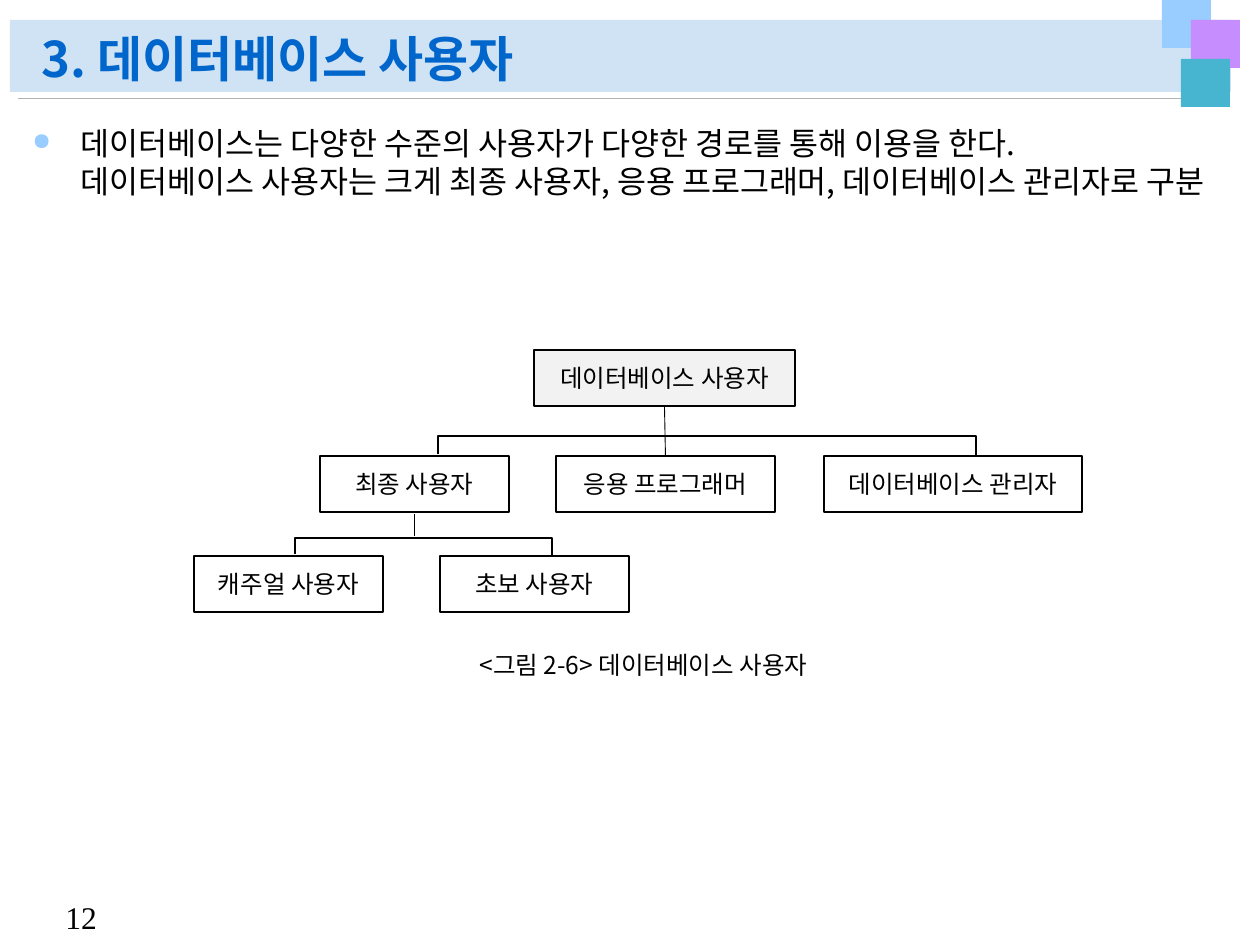
from lxml.etree import SubElement
from pptx import Presentation
from pptx.dml.color import RGBColor
from pptx.enum.shapes import MSO_CONNECTOR, MSO_SHAPE
from pptx.enum.text import MSO_ANCHOR, PP_ALIGN
from pptx.oxml.ns import qn
from pptx.util import Emu, Pt

PX = 914400 / 126
SANS, SERIF = "Noto Sans CJK KR", "Times New Roman"
BLACK = RGBColor(0x00, 0x00, 0x00)
TITLE_BLUE = RGBColor(0x00, 0x66, 0xCC)
BAND_BLUE = RGBColor(0xD0, 0xE3, 0xF5)
SKY = RGBColor(0x99, 0xCC, 0xFF)
VIOLET = RGBColor(0xC6, 0x8D, 0xFF)
TEAL = RGBColor(0x47, 0xB5, 0xCF)
RULE_GREY = RGBColor(0xB2, 0xB2, 0xB2)
ROOT_GREY = RGBColor(0xF2, 0xF2, 0xF2)

TITLE = "3. 데이터베이스 사용자"
BODY = ("데이터베이스는 다양한 수준의 사용자가 다양한 경로를 통해 이용을 한다.\v"
        "데이터베이스 사용자는 크게 최종 사용자, 응용 프로그래머, 데이터베이스 관리자로 구분")
CAPTION = "<그림 2-6> 데이터베이스 사용자"
PAGE_NUMBER = "12"

SQUARES = [(1162, 0, SKY), (1191, 20, VIOLET), (1181, 59, TEAL)]
SQUARE_SIZE = (49, 48)

# Each level of the tree: top, then (text, left, width, fill)
BOX_HEIGHT = 56
LEVELS = [
    (350, [("데이터베이스 사용자", 534, 261, ROOT_GREY)]),
    (456, [("최종 사용자", 320, 189, None),
           ("응용 프로그래머", 556, 219, None),
           ("데이터베이스 관리자", 824, 258, None)]),
    (556, [("캐주얼 사용자", 194, 189, None),
           ("초보 사용자", 440, 189, None)]),
]
# Brackets: left, right, top, left end, right end
BRACKETS = [(295, 552, 538, 554, 556), (438, 976, 436, 454, 456)]

TITLE_STYLE = dict(size=Pt(28), bold=True, name=SANS)
BODY_STYLE = dict(size=Pt(18), name=SANS)
LABEL_STYLE = dict(size=Pt(14), name=SANS)
NUMBER_STYLE = dict(size=Pt(18), name=SERIF)


def px(value):
    return Emu(round(value * PX))


def write(shape, text, style, color=BLACK, align=PP_ALIGN.LEFT, anchor=MSO_ANCHOR.TOP):
    frame = shape.text_frame
    frame.word_wrap = True
    frame.vertical_anchor = anchor
    para = frame.paragraphs[0]
    para.text = text
    para.alignment = align
    for span in para.runs:
        for key, value in style.items():
            setattr(span.font, key, value)
        span.font.color.rgb = color
        SubElement(span.font._element, qn("a:ea"), typeface=style["name"])
    return para


def add_text(page, place, *content, **options):
    return write(page.shapes.add_textbox(*map(px, place)), *content, **options)


def paint(shape, fill=None, line=None):
    shape.shadow.inherit = False
    if fill is None:
        shape.fill.background()
    else:
        shape.fill.solid()
        shape.fill.fore_color.rgb = fill
    if line is None:
        shape.line.fill.background()
    else:
        shape.line.color.rgb = line
        shape.line.width = Pt(1)


def add_box(page, place, fill=None, line=None):
    box = page.shapes.add_shape(MSO_SHAPE.RECTANGLE, *map(px, place))
    paint(box, fill, line)
    return box


def add_line(page, start, end, color):
    line = page.shapes.add_connector(MSO_CONNECTOR.STRAIGHT, *map(px, start + end))
    line.line.color.rgb = color
    line.line.width = Pt(0.5)
    SubElement(line._element.spPr, qn("a:effectLst"))
    return line


def add_bullet(para, color):
    """Hang the paragraph behind a round bullet at 75 % of the text size."""
    props = para._p.get_or_add_pPr()
    indent = px(48)
    props.set("marL", str(indent))
    props.set("indent", str(-indent))
    SubElement(SubElement(props, qn("a:buClr")), qn("a:srgbClr"), val=str(color))
    SubElement(props, qn("a:buSzPct"), val="75000")
    SubElement(props, qn("a:buChar"), char="●")


def add_header(page):
    add_box(page, (10, 20, 1221, 72), BAND_BLUE)
    add_line(page, (1227, 98), (18, 98), RULE_GREY)
    for left, top, color in SQUARES:
        add_box(page, (left, top, *SQUARE_SIZE), color)
    title = add_text(page, (29, 21, 1132, 73), TITLE, TITLE_STYLE, TITLE_BLUE,
                     anchor=MSO_ANCHOR.BOTTOM)
    title.line_spacing = 0.9


def add_tree(page):
    boxes = {}
    for level, (top, nodes) in enumerate(LEVELS):
        for column, (text, left, width, fill) in enumerate(nodes):
            box = add_box(page, (left, top, width, BOX_HEIGHT), fill, BLACK)
            write(box, text, LABEL_STYLE, align=PP_ALIGN.CENTER, anchor=MSO_ANCHOR.MIDDLE)
            boxes[level, column] = box
    for left, right, top, left_end, right_end in BRACKETS:
        builder = page.shapes.build_freeform(left, left_end, scale=PX)
        builder.add_line_segments([(left, top), (right, top), (right, right_end)], close=False)
        paint(builder.convert_to_shape(), line=BLACK)
    add_line(page, (414, 514), (414, 536), BLACK)
    trunk = add_line(page, (664, 406), (665, 456), BLACK)
    trunk.begin_connect(boxes[0, 0], 2)
    trunk.end_connect(boxes[1, 1], 0)


def main():
    deck = Presentation()
    deck.slide_width, deck.slide_height = px(1260), px(945)
    page = deck.slides.add_slide(deck.slide_layouts[6])
    add_header(page)
    add_text(page, (53, 892, 63, 50), PAGE_NUMBER, NUMBER_STYLE)
    body = add_text(page, (20, 118, 1211, 759), BODY, BODY_STYLE)
    body.space_before = Pt(3.6)
    add_bullet(body, SKY)
    add_tree(page)
    add_text(page, (467, 644, 396, 43), CAPTION, LABEL_STYLE)
    deck.save("out.pptx")


if __name__ == "__main__":
    main()
